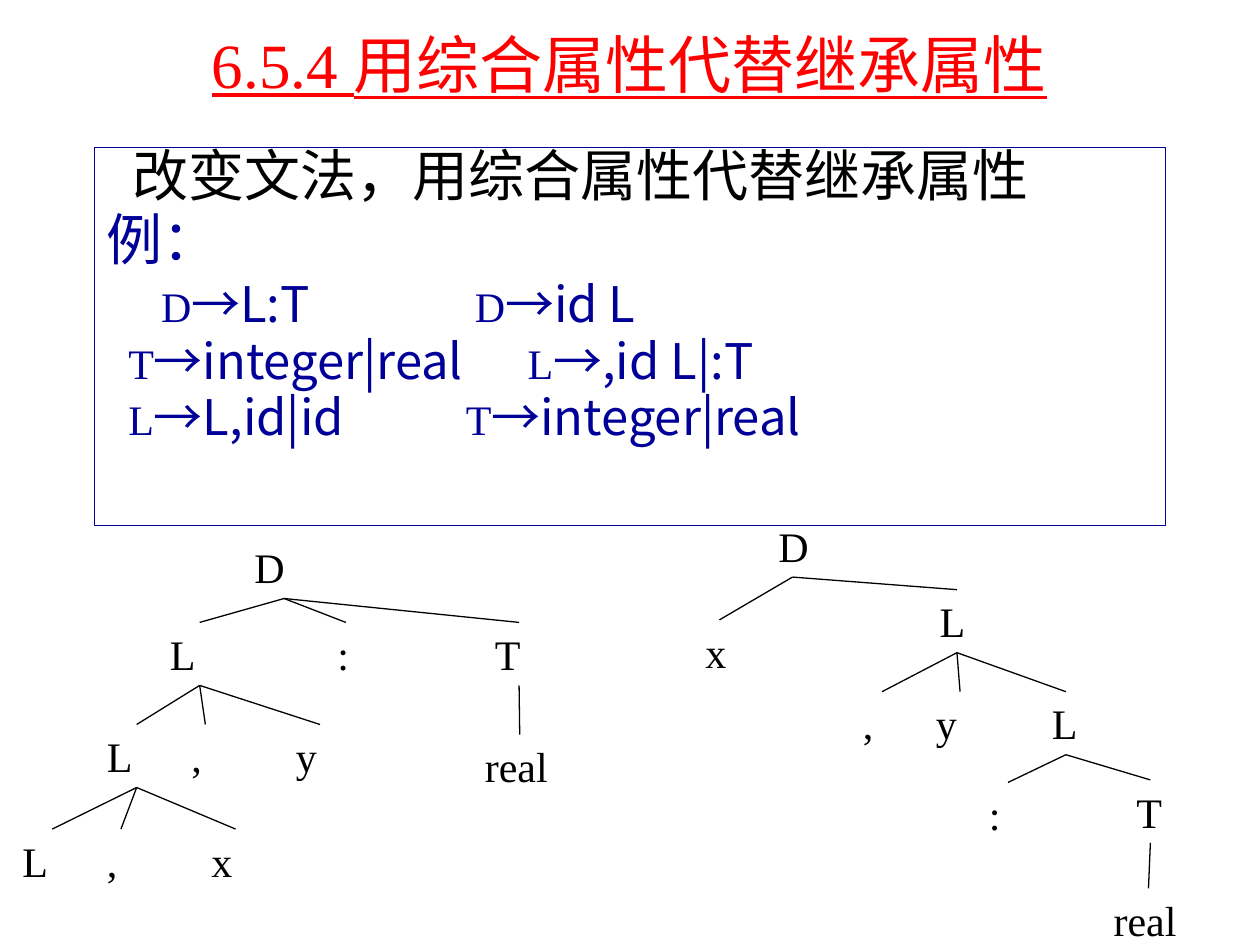
import pptx
import pptx.util
import pptx.dml.color
import pptx.enum.shapes
import pptx.enum.text
import pptx.oxml
import pptx.oxml.ns
from lxml import etree

Inches, Pt = pptx.util.Inches, pptx.util.Pt
COLORS = {"red": "FF0000", "blue": "000099", "black": "000000"}
SERIF, SANS = "Times New Roman", "Noto Sans CJK SC"
TITLE = "6.5.4 用综合属性代替继承属性"

HEADS = [("\t改变文法，用综合属性代替继承属性", "black", [0.2], 0),
         ("例：", "blue", [], 6)]
RULES = [(("D", "→L:T"), ("D", "→id L"), [0.43, 2.92], 7.5),
         (("T", "→integer|real"), ("L", "→,id L|:T"), [0.17, 3.34], 5.5),
         (("L", "→L,id|id"), ("T", "→integer|real"), [0.17, 2.85], 5.5)]

# name, left, top, width, children
TREES = [
    ("D", 1.92, 4.25, 0.67, [
        ("L", 1.25, 4.94, 0.67, [
            ("L", 0.75, 5.75, 0.67, [
                ("L", 0.08, 6.58, 0.67, []),
                (",", 0.75, 6.58, 0.42, []),
                ("x", 1.58, 6.58, 0.58, [])]),
            (",", 1.42, 5.75, 0.42, []),
            ("y", 2.25, 5.75, 0.58, [])]),
        (":", 2.58, 4.94, 0.33, []),
        ("T", 3.83, 4.94, 0.58, [
            ("real", 3.75, 5.83, 0.75, [])])]),
    ("D", 6.08, 4.08, 0.42, [
        ("x", 5.5, 4.92, 0.42, []),
        ("L", 7.36, 4.68, 0.47, [
            (",", 6.75, 5.49, 0.5, []),
            ("y", 7.33, 5.49, 0.58, []),
            ("L", 8.25, 5.49, 0.42, [
                (":", 7.75, 6.21, 0.5, []),
                ("T", 8.92, 6.19, 0.42, [
                    ("real", 8.74, 7.05, 0.75, [])])])])]),
]
HIGH = 0.5


def paint(name):
    return pptx.dml.color.RGBColor.from_string(COLORS[name])


def style(font, size, color, face=SERIF):
    font.size, font.name = Pt(size), face
    font.color.rgb = paint(color)


def add_run(para, text, size, color, face):
    run = para.add_run()
    run.text = text
    style(run.font, size, color, face)
    east = etree.SubElement(run.font._element, pptx.oxml.ns.qn("a:ea"))
    east.set("typeface", SANS)


def add_line(frame, stops, space):
    first = not frame.paragraphs[0].runs
    para = frame.paragraphs[0] if first else frame.add_paragraph()
    para.alignment = pptx.enum.text.PP_ALIGN.LEFT
    para.line_spacing = 0.8
    para.space_before = Pt(space)
    if stops:
        tabs = etree.SubElement(para._p.get_or_add_pPr(), pptx.oxml.ns.qn("a:tabLst"))
        for stop in stops:
            tab = etree.SubElement(tabs, pptx.oxml.ns.qn("a:tab"))
            tab.set("pos", str(Inches(stop)))
            tab.set("algn", "l")
    return para


def add_title(slide):
    title = slide.shapes.title
    title.left, title.top = Inches(1.08), Inches(0.25)
    title.width, title.height = Inches(7.83), Inches(0.5)
    title.text_frame.text = TITLE
    title.text_frame.vertical_anchor = pptx.enum.text.MSO_ANCHOR.MIDDLE
    para = title.text_frame.paragraphs[0]
    para.alignment = pptx.enum.text.PP_ALIGN.CENTER
    style(para.font, 36, "red")
    para.font.underline = True


def add_panel(slide):
    panel = slide.shapes.add_shape(
        pptx.enum.shapes.MSO_SHAPE.RECTANGLE,
        Inches(0.75), Inches(1.17), Inches(8.5), Inches(3))
    panel.shadow.inherit = False
    panel.fill.background()
    panel.line.color.rgb = paint("blue")
    panel.line.width = Pt(0.75)
    frame = panel.text_frame
    frame.word_wrap = True
    frame.vertical_anchor = pptx.enum.text.MSO_ANCHOR.TOP
    for text, color, stops, space in HEADS:
        add_run(add_line(frame, stops, space), text, 32, color, SERIF)
    for *pairs, stops, space in RULES:
        para = add_line(frame, stops, space)
        for left, right in pairs:
            add_run(para, "\t" + left, 24, "blue", SERIF)
            add_run(para, right, 28, "blue", SANS)


def add_edge(slide, start, end):
    edge = slide.shapes.add_connector(
        pptx.enum.shapes.MSO_CONNECTOR.STRAIGHT,
        *(Inches(value) for value in (*start, *end)))
    edge.line.color.rgb = paint("black")
    edge.line.width = Pt(0.75)
    etree.SubElement(edge._element.spPr, pptx.oxml.ns.qn("a:effectLst"))


def add_tree(slide, node):
    text, left, top, width, kids = node
    box = slide.shapes.add_textbox(
        Inches(left), Inches(top), Inches(width), Inches(HIGH))
    box.text_frame.word_wrap = True
    box.text_frame.text = text
    style(box.text_frame.paragraphs[0].font, 24, "black")
    for kid in kids:
        add_edge(slide, (left + width / 2, top + HIGH), (kid[1] + kid[3] / 2, kid[2]))
        add_tree(slide, kid)


def main():
    deck = pptx.Presentation()
    deck.slide_width, deck.slide_height = Inches(10), Inches(7.5)
    slide = deck.slides.add_slide(deck.slide_layouts[5])
    add_title(slide)
    add_panel(slide)
    for tree in TREES:
        add_tree(slide, tree)
    deck.save("out.pptx")


if __name__ == "__main__":
    main()
